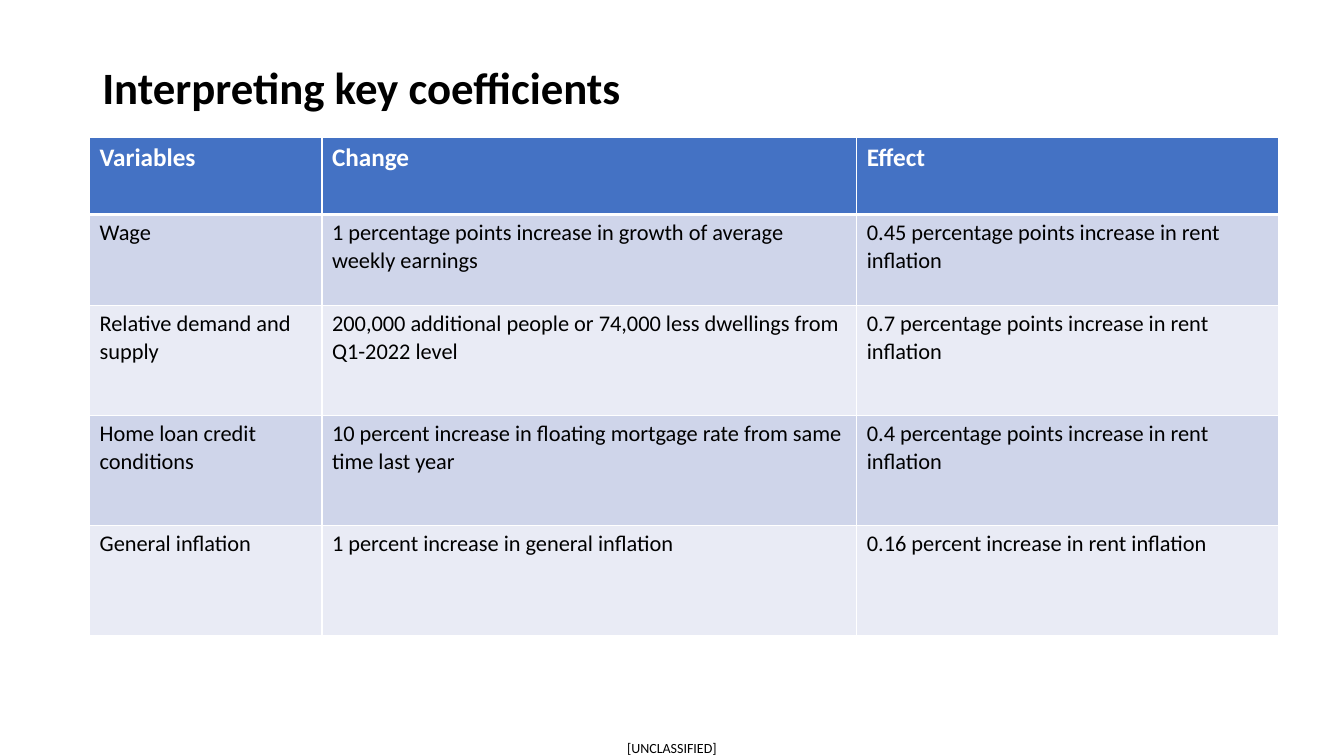
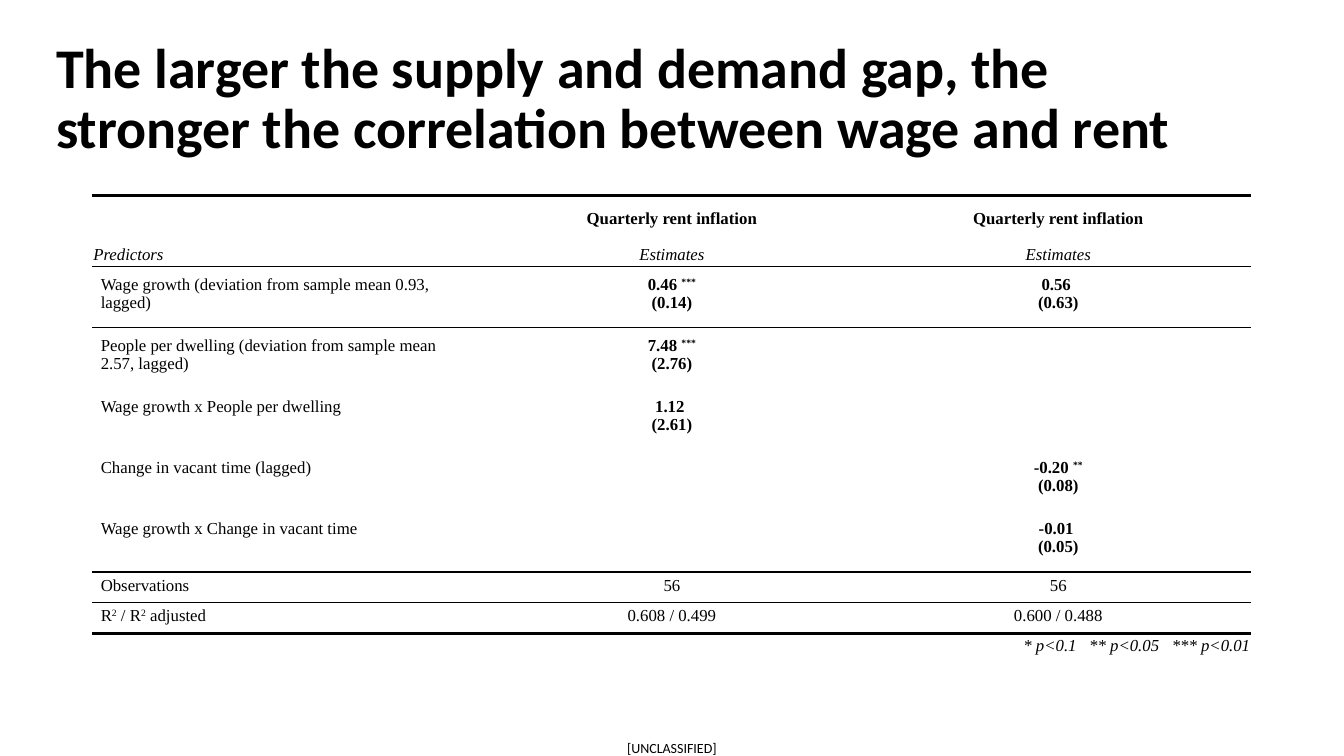
from copy import deepcopy

from lxml import etree
from pptx import Presentation
from pptx.dml.color import RGBColor
from pptx.enum import text as t
from pptx.oxml.ns import qn
from pptx.util import Pt

BLACK, WHITE = "000000", "FFFFFF"
HEADER_BLUE = "4472C4"
BANDS = ("CFD5EA", "E9EBF5")
SANS, SERIF = "Calibri", "Times New Roman"
NO_GRID_STYLE = "{2D5ABB26-0587-4C30-8999-92F81FD0307C}"
LEFT, CENTER, RIGHT = t.PP_ALIGN.LEFT, t.PP_ALIGN.CENTER, t.PP_ALIGN.RIGHT
TOP, MIDDLE = t.MSO_ANCHOR.TOP, t.MSO_ANCHOR.MIDDLE

COEFFICIENTS = [
    ("Variables", "Change", "Effect"),
    ("Wage",
     "1 percentage points increase in growth of average weekly earnings",
     "0.45 percentage points increase in rent inflation"),
    ("Relative demand and supply",
     "200,000 additional people or 74,000 less dwellings from Q1-2022 level",
     "0.7 percentage points increase in rent inflation"),
    ("Home loan credit conditions",
     "10 percent increase in floating mortgage rate from same time last year",
     "0.4 percentage points increase in rent inflation"),
    ("General inflation",
     "1 percent increase in general inflation",
     "0.16 percent increase in rent inflation"),
]

# Text between carets is superscript.
OUTCOMES = ("", "Quarterly rent inflation", "Quarterly rent inflation")
LABELS = ("Predictors", "Estimates", "Estimates")
ESTIMATES = [
    ("Wage growth (deviation from sample mean 0.93, lagged)",
     "0.46 ^***^\n(0.14)", "0.56 \n(0.63)"),
    ("People per dwelling (deviation from sample mean 2.57, lagged)",
     "7.48 ^***^\n(2.76)", ""),
    ("Wage growth x People per dwelling", "1.12 \n(2.61)", ""),
    ("Change in vacant time (lagged)", "", "-0.20 ^**^\n(0.08)"),
    ("Wage growth x Change in vacant time", "", "-0.01 \n(0.05)"),
]
FIT = [
    ("Observations", "56", "56"),
    ("R^2^ / R^2^ adjusted", "0.608 / 0.499", "0.600 / 0.488"),
]
SIGNIFICANCE = ("* p<0.1   ** p<0.05   *** p<0.01", "", "")


def rgb(value):
    return RGBColor.from_string(value)


def write(frame, content, size=12, font=SANS, color=BLACK, bold=False,
          italic=False, align=LEFT, spacing=None):
    """Fill a text frame; newlines break lines, carets enclose superscripts."""
    paragraph = frame.paragraphs[0]
    paragraph.alignment = align
    if spacing:
        paragraph.line_spacing = spacing
    for number, line in enumerate(content.split("\n")):
        if number:
            paragraph.add_line_break()
            line_break = paragraph._p.findall(qn("a:br"))[-1]
            properties = deepcopy(paragraph.runs[0]._r.rPr)
            line_break.insert(0, properties)
        for position, piece in enumerate(line.split("^")):
            run = paragraph.add_run()
            run.text = piece
            run.font.size, run.font.name = Pt(size), font
            run.font.bold, run.font.italic = bold, italic
            run.font.color.rgb = rgb(color)
            if position % 2:
                run._r.rPr.set("baseline", "30000")


def set_margins(target, across, down):
    target.margin_left = target.margin_right = Pt(across)
    target.margin_top = target.margin_bottom = Pt(down)


def add_text(slide, content, box, margins=(7.2, 3.6), anchor=TOP, wrap=True, **style):
    frame = slide.shapes.add_textbox(*map(Pt, box)).text_frame
    frame.word_wrap = wrap
    frame.vertical_anchor = anchor
    set_margins(frame, *margins)
    write(frame, content, **style)


def add_slide(deck, title, box, size):
    """Add a blank slide with the shared title style and classification."""
    slide = deck.slides.add_slide(deck.slide_layouts[6])
    add_text(slide, "[UNCLASSIFIED]", (448, 528, 67, 12), (0, 0), wrap=False, size=10)
    add_text(slide, title, box, anchor=MIDDLE, size=size, bold=True, spacing=0.9)
    return slide


def add_grid(slide, left, top, columns, rows):
    """Add an unstyled table with the given column widths and row heights."""
    grid = slide.shapes.add_table(len(rows), len(columns), Pt(left), Pt(top),
                                  Pt(sum(columns)), Pt(sum(rows))).table
    grid.first_row = grid.horz_banding = False
    grid._tbl.tblPr.find(qn("a:tableStyleId")).text = NO_GRID_STYLE
    for column, width in zip(grid.columns, columns):
        column.width = Pt(width)
    for row, height in zip(grid.rows, rows):
        row.height = Pt(height)
    return grid


def set_borders(cell, color, **widths):
    """Draw the sides L, R, T, B that have a width in points."""
    properties = cell._tc.get_or_add_tcPr()
    for side in "LRTB":
        if widths.get(side):
            line = etree.SubElement(properties, qn("a:ln" + side),
                                    w=str(int(Pt(widths[side]))))
            fill = etree.SubElement(line, qn("a:solidFill"))
            etree.SubElement(fill, qn("a:srgbClr"), val=color)


def fill_cell(cell, content, margins=(7.2, 3.6), anchor=TOP, fill=None, **style):
    set_margins(cell, *margins)
    cell.vertical_anchor = anchor
    if fill:
        cell.fill.solid()
        cell.fill.fore_color.rgb = rgb(fill)
    write(cell.text_frame, content, **style)


def add_coefficient_table(slide):
    grid = add_grid(slide, 64, 98.2, (166, 382, 301), (55, 65, 78.5, 78.5, 78.5))
    for r, row in enumerate(COEFFICIENTS):
        if r == 0:
            look = dict(fill=HEADER_BLUE, size=18, color=WHITE, bold=True)
        else:
            look = dict(fill=BANDS[(r - 1) % 2], size=16)
        for c, content in enumerate(row):
            cell = grid.cell(r, c)
            set_borders(cell, WHITE, L=1, R=1, T=3 if r == 1 else 1, B=3 if r == 0 else 1)
            fill_cell(cell, content, **look)


def add_regression_table(slide):
    header = dict(margins=(6, 6), anchor=MIDDLE, bold=True)
    label = dict(margins=(0.7, 0.7), anchor=MIDDLE, italic=True)
    estimate = dict(margins=(6, 6))
    fit = dict(margins=(6, 3))
    sections = [
        ([OUTCOMES], 28, header),
        ([LABELS], 17.5, label),
        (ESTIMATES, 43.6, estimate),
        (FIT, 21.9, fit),
        ([SIGNIFICANCE], 17.5, label),
    ]
    lines = [(row, height, look) for rows, height, look in sections for row in rows]
    last = len(lines) - 1
    rules_above = {0: 2.25, 2: 1, 7: 1, last: 2.25}

    grid = add_grid(slide, 66, 139.5, [276] * 3, [height for _, height, _ in lines])
    grid.cell(last, 0).merge(grid.cell(last, 2))
    for r, (row, _, look) in enumerate(lines):
        for c, content in enumerate(row):
            style = dict(look, align=CENTER if c else LEFT)
            if look is estimate:
                style["bold"] = c > 0
            if r == last:
                style["align"] = RIGHT
            cell = grid.cell(r, c)
            set_borders(cell, BLACK, T=rules_above.get(r), B=rules_above.get(r + 1))
            fill_cell(cell, content, font=SERIF, **style)


def main():
    deck = Presentation()
    deck.slide_width, deck.slide_height = Pt(960), Pt(540)

    add_coefficient_table(add_slide(
        deck, "Interpreting key coefficients", (66, 29, 828, 70), 32))
    add_regression_table(add_slide(
        deck, "The larger the supply and demand gap, the stronger the "
        "correlation between wage and rent", (33, 19.5, 828, 104), 40))

    deck.save("out.pptx")


if __name__ == "__main__":
    main()
